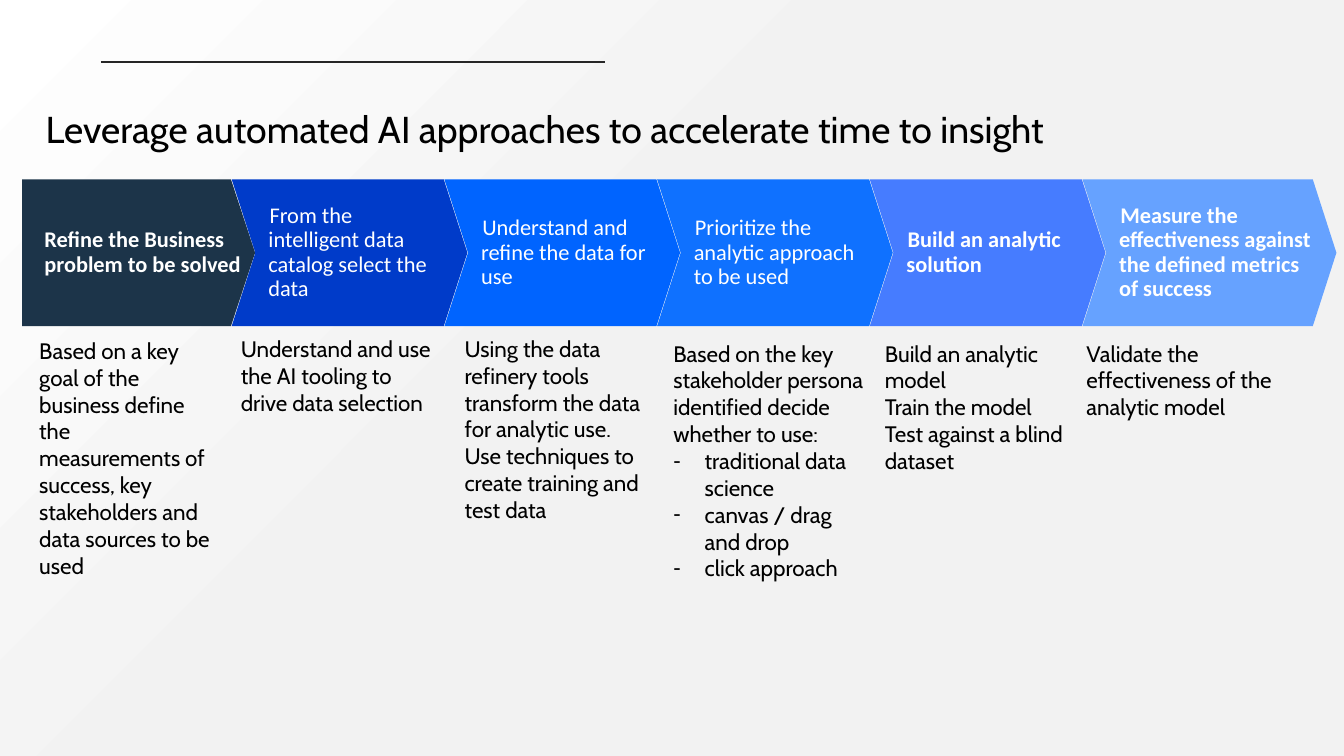
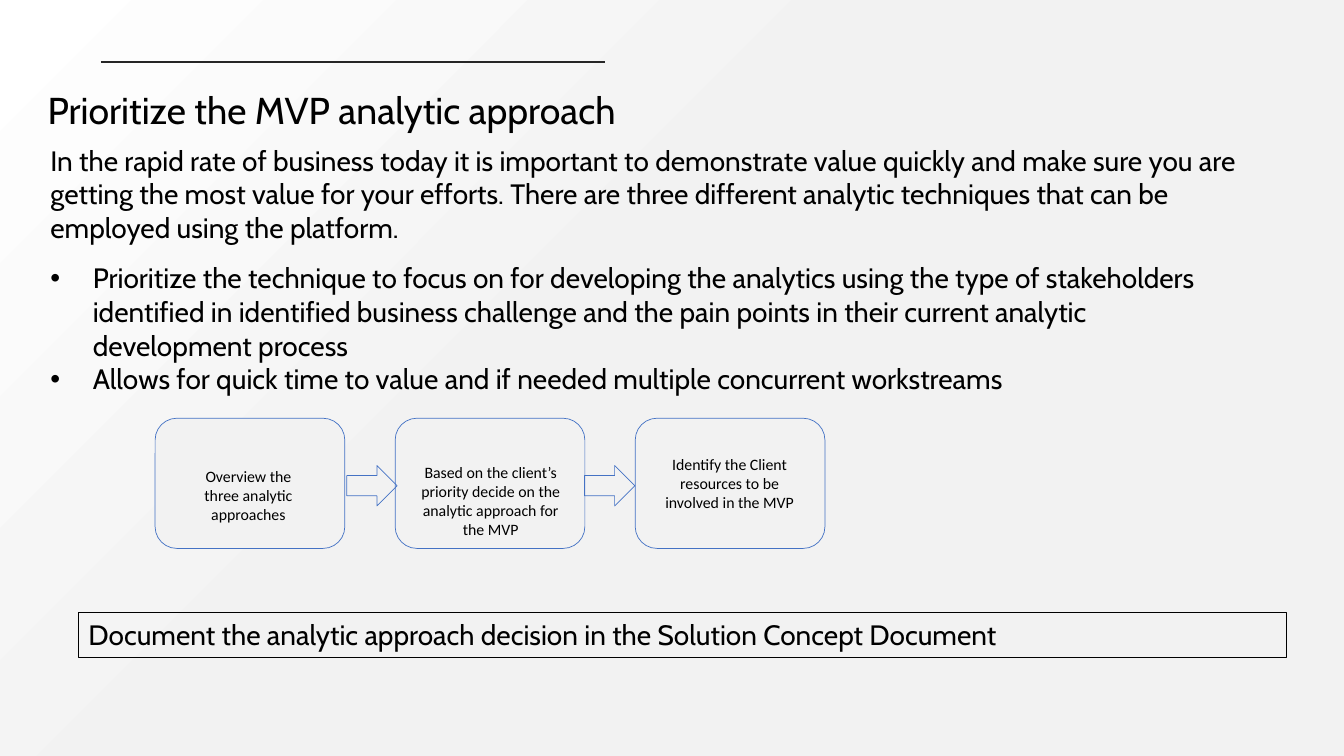
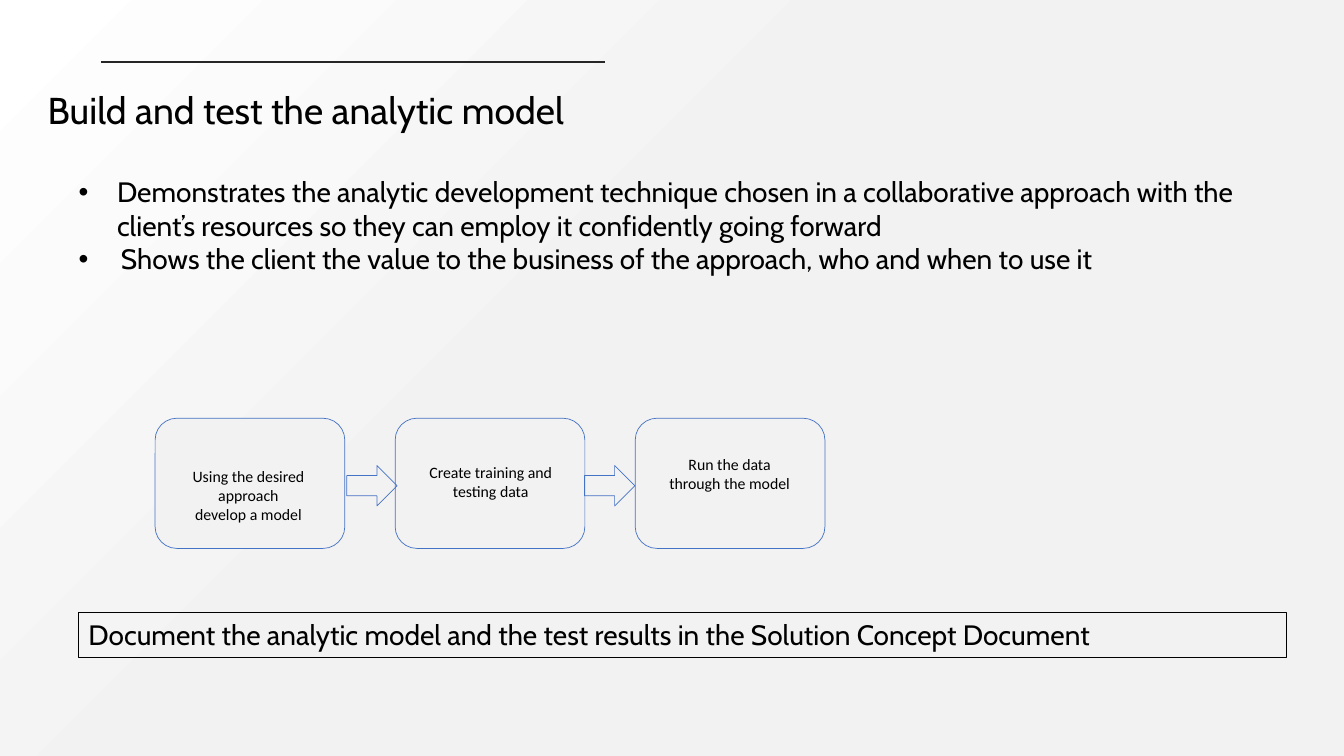
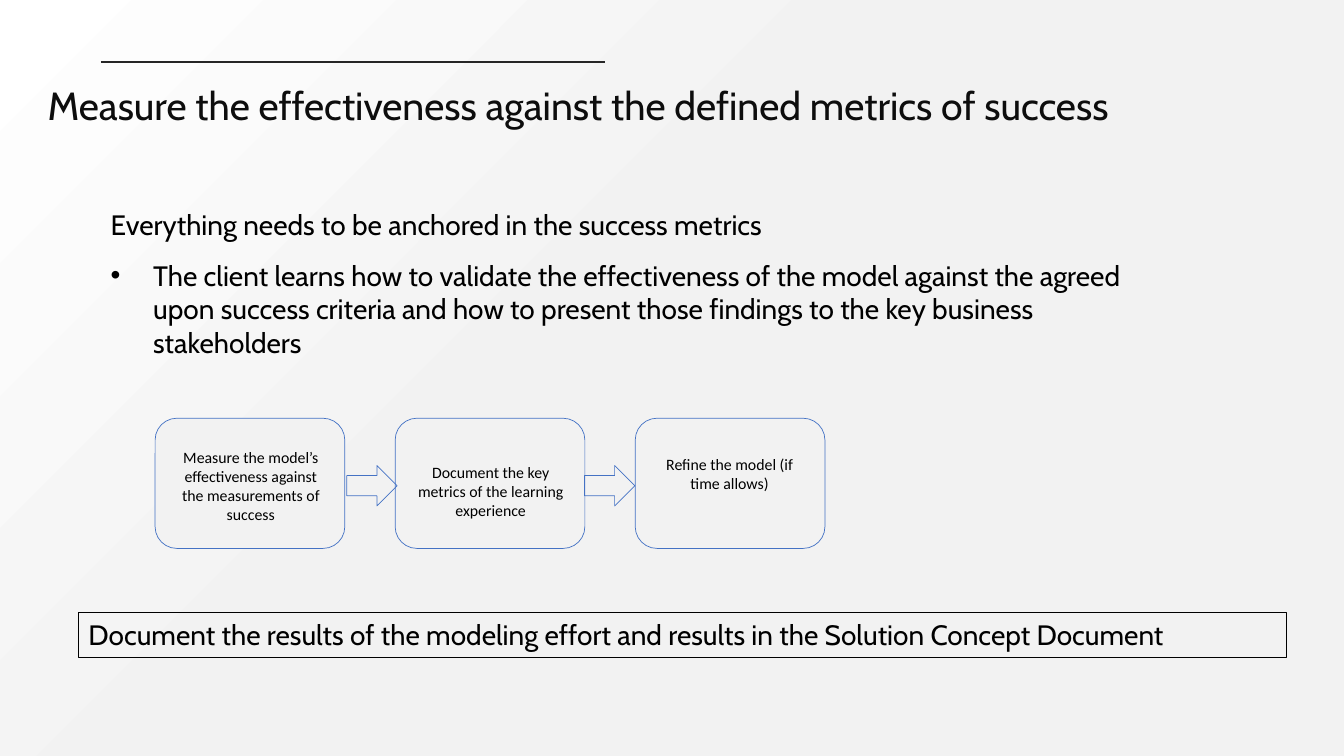
from lxml import etree
from pptx import Presentation
from pptx import util as u
from pptx.dml import color
from pptx.enum import shapes, text
from pptx.oxml import ns

Cm, Pt = u.Cm, u.Pt

# Shared style
COLORS = {
    "black": "000000", "ink": "0D0D0D", "white": "FFFFFF", "grey": "F2F2F2",
    "rule": "262626", "outline": "4472C4",
}
LEFT, CENTER = text.PP_ALIGN.LEFT, text.PP_ALIGN.CENTER
TITLE = {"size": Pt(26.7), "name": "Cabin", "color": "black"}
LARGE_TITLE = {"size": Pt(28), "name": "Cabin", "color": "ink"}
BODY = {"size": Pt(20), "name": "Cabin", "color": "black"}
DETAIL = {"size": Pt(16), "name": "Cabin", "color": "black"}
STEP = {"size": Pt(16), "name": "Calibri", "color": "white"}
LABEL = {"size": Pt(11.3), "name": "Calibri", "color": "black"}
TIGHT = (0.18, 0.18, 0.18, 0.18)
NORMAL = (0.25, 0.13, 0.25, 0.13)

# Paragraph options: hanging indent in cm, bullet, space before in points
BULLET = {"hang": 1.07, "bullet": "•"}
NARROW_BULLET = {"hang": 0.97, "bullet": "•"}
SPACED_BULLET = {"hang": 1.07, "bullet": "•", "before": 12}
DASH = {"hang": 0.79, "bullet": "-"}

# Slide 1: (heading, bold, fill, (left, top, width) of the details, details)
PROCESS_TITLE = "Leverage automated AI approaches to accelerate time to insight"
PROCESS = [
    ("Refine the Business problem to be solved", True, "1C3449", (0.81, 8.31, 4.7),
     ["Based on a key goal of the business define the measurements of success, "
      "key stakeholders and data sources to be used"]),
    ("From the intelligent data catalog select the data", False, "003BC9",
     (5.89, 8.26, 5.26),
     ["Understand and use the AI tooling to drive data selection"]),
    ("Understand and refine the data for use", False, "0064FF", (11.53, 8.26, 5.03),
     ["Using the data refinery tools transform the data for analytic use.",
      "Use techniques to create training and test data"]),
    ("Prioritize the analytic approach to be used", False, "0F71FF",
     (16.79, 8.38, 5.26),
     ["Based on the key stakeholder persona identified decide whether to use:",
      ("traditional data science", DASH), ("canvas / drag and drop", DASH),
      ("click approach", DASH)]),
    ("Build an analytic solution", True, "467CFF", (22.12, 8.38, 5.08),
     ["Build an analytic model", "Train the model", "Test against a blind dataset"]),
    ("Measure the effectiveness against the defined metrics of success", True,
     "66A2FF", (27.2, 8.38, 5.69),
     ["Validate the effectiveness of the analytic model"]),
]

# Slides 2 to 4: label places are (left, top, width)
LABEL_PLACES = [(4.57, 11.63, 3.38), (10.13, 11.53, 4.47), (16.43, 11.33, 3.91)]
FLOWS = [
    {"title": "Prioritize the MVP analytic approach",
     "body_box": (1.02, 3.48, 30.45, 8),
     "body": [
         "In the rapid rate of business today it is important to demonstrate value "
         "quickly and make sure you are getting the most value for your efforts. "
         "There are three different analytic techniques that can be employed using "
         "the platform.",
         ("Prioritize the technique to focus on for developing the analytics using "
          "the type of stakeholders identified in identified business challenge and "
          "the pain points in their current analytic development process",
          SPACED_BULLET),
         ("Allows for quick time to value and if needed multiple concurrent "
          "workstreams", BULLET)],
     "labels": ["Overview the three analytic approaches",
                "Based on the client’s priority decide on the analytic approach for "
                "the MVP",
                "Identify the Client resources to be involved in the MVP"],
     "outcome": "Document the analytic approach decision in the Solution Concept "
                "Document"},
    {"title": "Build and test the analytic model",
     "body_box": (1.73, 4.27, 30.45, 4.2),
     "body": [
         ("Demonstrates the analytic development technique chosen in a collaborative "
          "approach with the client’s resources so they can employ it confidently "
          "going forward", NARROW_BULLET),
         ("Shows the client the value to the business of the approach, who and when "
          "to use it", BULLET)],
     "labels": ["Using the desired approach develop a model",
                "Create training and testing data",
                "Run the data through the model"],
     "outcome": "Document the analytic model and the test results in the Solution "
                "Concept Document"},
    {"title": "Measure the effectiveness against the defined metrics of success",
     "title_style": LARGE_TITLE, "title_spacing": 0.9,
     "body_box": (2.54, 5.11, 25.98, 5.4),
     "body": [
         "Everything needs to be anchored in the success metrics",
         ("The client learns how to validate the effectiveness of the model against "
          "the agreed upon success criteria and how to present those findings to the "
          "key business stakeholders", SPACED_BULLET)],
     "labels": ["Measure the model’s effectiveness against the measurements of success",
                "Document the key metrics of the learning experience",
                "Refine the model (if time allows)"],
     "first_label": (4.29, 11.15, 4.06),
     "outcome": "Document the results of the modeling effort and results in the "
                "Solution Concept Document"},
]


def rgb(name):
    return color.RGBColor.from_string(COLORS.get(name, name))


def box(left, top, width, height):
    return Cm(left), Cm(top), Cm(width), Cm(height)


def set_indent(paragraph, margin, indent):
    properties = paragraph._p.get_or_add_pPr()
    properties.set("marL", str(Cm(margin)))
    properties.set("indent", str(Cm(indent)))
    return properties


def write(shape, paragraphs, style, insets=NORMAL, align=LEFT, spacing=1.0,
          anchor=text.MSO_ANCHOR.TOP):
    """Fill a shape with paragraphs given as text or (text, options)."""
    frame = shape.text_frame
    frame_format = {"word_wrap": True, "auto_size": text.MSO_AUTO_SIZE.NONE,
                    "vertical_anchor": anchor}
    sides = ("margin_left", "margin_top", "margin_right", "margin_bottom")
    frame_format.update(zip(sides, map(Cm, insets)))
    for name, value in frame_format.items():
        setattr(frame, name, value)
    for index, item in enumerate(paragraphs):
        words, options = (item, {}) if isinstance(item, str) else item
        paragraph = frame.add_paragraph() if index else frame.paragraphs[0]
        paragraph_format = {"alignment": align, "line_spacing": spacing,
                            "space_before": Pt(options.get("before", 0))}
        for name, value in paragraph_format.items():
            setattr(paragraph, name, value)
        run = paragraph.add_run()
        run.text = words
        for name, value in style.items():
            if name == "color":
                run.font.color.rgb = rgb(value)
            else:
                setattr(run.font, name, value)
        if "bullet" in options:
            properties = set_indent(paragraph, options["hang"], -options["hang"])
            etree.SubElement(properties, ns.qn("a:buFont")).set("typeface", "Arial")
            etree.SubElement(properties, ns.qn("a:buChar")).set("char", options["bullet"])


def add_text(slide, place, paragraphs, style, **options):
    write(slide.shapes.add_textbox(*box(*place)), paragraphs, style, **options)


def paint(shape, fill=None, line=None, width=0.5):
    shape.shadow.inherit = False
    if fill:
        shape.fill.solid()
        shape.fill.fore_color.rgb = rgb(fill)
    else:
        shape.fill.background()
    if line:
        shape.line.color.rgb = rgb(line)
        shape.line.width = Pt(width)
    else:
        shape.line.fill.background()


def add_shape(slide, kind, place, **colors):
    shape = slide.shapes.add_shape(kind, *box(*place))
    paint(shape, **colors)
    return shape


def set_background(presentation):
    fill = presentation.slide_master.background.fill
    fill.gradient()
    fill.gradient_angle = 315
    for stop, name, position in zip(fill.gradient_stops, ("white", "grey"), (0, 0.44)):
        stop.color.rgb = rgb(name)
        stop.position = position


def new_slide(presentation, title, left=1.02, top=2.01, style=TITLE, spacing=1.0):
    """Add a slide with its title and the rule above it."""
    slide = presentation.slides.add_slide(presentation.slide_layouts[5])
    shape = slide.shapes.title
    shape.left, shape.top, shape.width, shape.height = box(left, top, 28.47, 1.47)
    write(shape, [title], style, insets=TIGHT, spacing=spacing)
    rule = slide.shapes.add_connector(
        shapes.MSO_CONNECTOR.STRAIGHT, Cm(2.54), Cm(1.57), Cm(15.24), Cm(1.57))
    rule.line.color.rgb = rgb("rule")
    rule.line.width = Pt(1.25)
    etree.SubElement(rule._element.spPr, ns.qn("a:effectLst"))
    return slide


def add_start(slide, top, height):
    """Draw the flat-ended first step of the process."""
    right, tip, bottom = 5.82, 6.43, top + height
    builder = slide.shapes.build_freeform(Cm(0.56), Cm(top))
    builder.add_line_segments([(Cm(x), Cm(y)) for x, y in (
        (right, top), (tip, top + height / 2), (right, bottom), (0.56, bottom))])
    return builder.convert_to_shape()


def build_process(presentation):
    slide = new_slide(presentation, PROCESS_TITLE, left=0.97, top=2.49)
    top, height, first, step = 4.52, 3.7, 5.84, 5.36
    for index, (heading, bold, fill, (left, detail_top, width), details) in enumerate(PROCESS):
        if index == 0:
            shape = add_start(slide, top, height)
            margin, indent = 0.23, 0
        else:
            chevron_width = 6.4 if index == len(PROCESS) - 1 else 5.94
            shape = slide.shapes.add_shape(
                shapes.MSO_SHAPE.CHEVRON,
                *box(first + (index - 1) * step, top, chevron_width, height))
            shape.adjustments[0] = 0.161
            margin, indent = 0, 0.03
        paint(shape, fill)
        write(shape, [heading], {**STEP, "bold": bold}, insets=(0.33, 0, 0, 0),
              spacing=0.9, anchor=text.MSO_ANCHOR.MIDDLE)
        set_indent(shape.text_frame.paragraphs[0], margin, indent)
        add_text(slide, (left, detail_top, width, 8), details, DETAIL, insets=TIGHT)


def build_flow(presentation, flow):
    slide = new_slide(presentation, flow["title"], style=flow.get("title_style", TITLE),
                      spacing=flow.get("title_spacing", 1.0))
    add_text(slide, flow["body_box"], flow["body"], BODY)

    # Three boxes with their labels, then the arrows between them
    places = [flow.get("first_label", LABEL_PLACES[0])] + LABEL_PLACES[1:]
    for index, (label, place) in enumerate(zip(flow["labels"], places)):
        add_shape(slide, shapes.MSO_SHAPE.ROUNDED_RECTANGLE,
                  (3.91 + index * 6.05, 10.54, 4.78, 3.28), fill="grey", line="outline")
        add_text(slide, (*place, 2.18), [label], LABEL, align=CENTER)
    for left in (8.74, 14.73):
        add_shape(slide, shapes.MSO_SHAPE.RIGHT_ARROW, (left, 11.73, 1.27, 1.02),
                  line="outline")

    # Framed outcome
    outcome = add_shape(slide, shapes.MSO_SHAPE.RECTANGLE, (1.98, 15.44, 30.45, 1.12),
                        line="black", width=0.75)
    write(outcome, [flow["outcome"]], BODY)


def main():
    presentation = Presentation()
    presentation.slide_width, presentation.slide_height = Cm(33.87), Cm(19.05)
    set_background(presentation)
    build_process(presentation)
    for flow in FLOWS:
        build_flow(presentation, flow)
    presentation.save("out.pptx")


if __name__ == "__main__":
    main()
